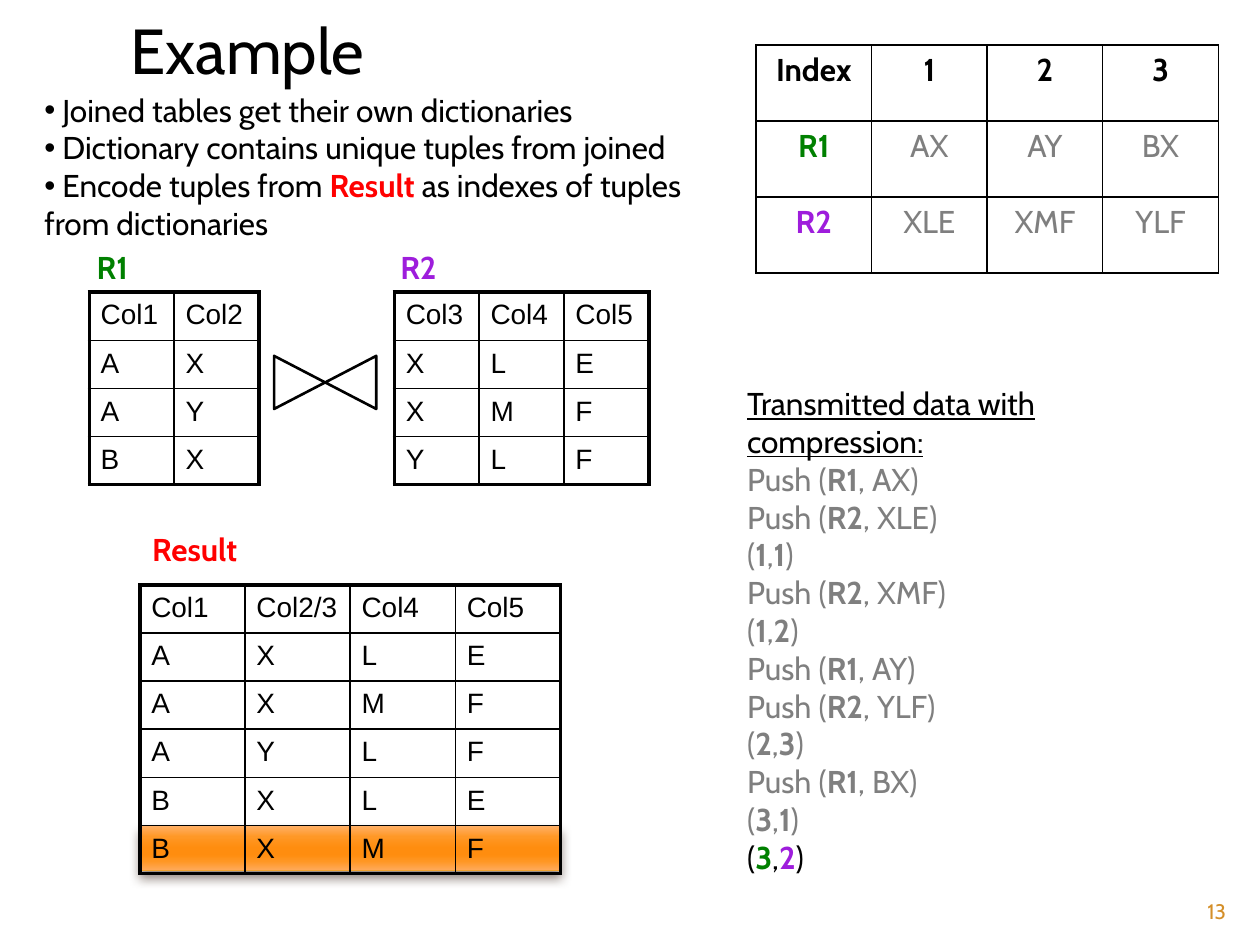
from lxml import etree
from pptx import Presentation, util as u
from pptx.dml.color import RGBColor
from pptx.enum import shapes, text
from pptx.oxml import parse_xml
from pptx.oxml.ns import qn

BLACK, GREY, RED, GREEN, PURPLE = "000000", "7F7F7F", "FF0000", "008000", "9E1DDC"
NAMESPACE = 'xmlns:a="http://schemas.openxmlformats.org/drawingml/2006/main"'

BULLETS = [
    (" Joined tables get their own dictionaries", BLACK, []),
    (" Dictionary contains unique tuples from joined", BLACK, []),
    (" Encode tuples from |Result |as indexes of tuples from dictionaries", BLACK, [RED]),
]
MESSAGES = [
    ("Push (|R1|, AX)", GREY, [GREY]),
    ("Push (|R2|, XLE)", GREY, [GREY]),
    ("(|1|,|1|)", GREY, [GREY, GREY]),
    ("Push (|R2|, XMF)", GREY, [GREY]),
    ("(|1|,|2|)", GREY, [GREY, GREY]),
    ("Push (|R1|, AY)", GREY, [GREY]),
    ("Push (|R2|, YLF)", GREY, [GREY]),
    ("(|2|,|3|)", GREY, [GREY, GREY]),
    ("Push (|R1|, BX)", GREY, [GREY]),
    ("(|3|,|1|)", GREY, [GREY, GREY]),
    ("(|3|,|2|)", BLACK, [GREEN, PURPLE]),
]
LABELS = [
    ("R1", GREEN, (1.7, 4.88, 3.61, 1.02)),
    ("R2", PURPLE, (7.82, 4.88, 5.28, 1.02)),
    ("Result", RED, (2.82, 10.57, 3.84, 1.04)),
]
ROW_HEIGHT = 0.97
RESULT_LEFT, RESULT_TOP, RESULT_COLUMN = 2.82, 11.79, 2.12
RELATIONS = [
    (7.95, 5.89, 1.71, ["Col3 Col4 Col5", "X L E", "X M F", "Y L F"]),
    (1.8, 5.89, 1.71, ["Col1 Col2", "A X", "A Y", "B X"]),
    (RESULT_LEFT, RESULT_TOP, RESULT_COLUMN,
     ["Col1 Col2/3 Col4 Col5", "A X L E", "A X M F", "A Y L F", "B X L E", "B X M F"]),
]
DICTIONARIES = ["Index 1 2 3", "R1 AX AY BX", "R2 XLE XMF YLF"]
NAME_COLOURS = {"R1": GREEN, "R2": PURPLE}
GRADIENT = [(0, "FFB16A"), (25, "FF9826"), (50, "FF8D0F"),
            (65, "FF8D0F"), (80, "FF9724"), (100, "FFAA5C")]


def colour(target, value):
    target.rgb = RGBColor.from_string(value)


def style(font, value, size=18, name="Cabin", bold=False):
    font.size, font.name, font.bold = u.Pt(size), name, bold
    colour(font.color, value)


def place(shape, box):
    shape.left, shape.top, shape.width, shape.height = map(u.Cm, box)


def add_text(slide, box):
    frame = slide.shapes.add_textbox(*map(u.Cm, box)).text_frame
    frame.word_wrap = True
    return frame


def write_line(paragraph, content, base, accents):
    """Write a line whose parts between bars are bold and take the accents in turn."""
    style(paragraph.font, base)
    for index, part in enumerate(content.split("|")):
        run = paragraph.add_run()
        run.text = part
        if index % 2:
            run.font.bold = True
            colour(run.font.color, accents[index // 2])


def set_borders(cell, widths):
    properties = cell._tc.get_or_add_tcPr()
    for position, (side, width) in enumerate(zip(("lnL", "lnR", "lnT", "lnB"), widths)):
        properties.insert(position, parse_xml(
            f'<a:{side} {NAMESPACE} w="{u.Pt(width)}"><a:solidFill>'
            f'<a:srgbClr val="{BLACK}"/></a:solidFill></a:{side}>'))


def add_grid(slide, left, top, column_width, row_height, lines, outer, format_cell):
    rows = [line.split() for line in lines]
    last_row, last_column = len(rows) - 1, len(rows[0]) - 1
    table = slide.shapes.add_table(
        len(rows), len(rows[0]), u.Cm(left), u.Cm(top),
        u.Cm(column_width * len(rows[0])), u.Cm(row_height * len(rows))).table
    table.first_row = table.horz_banding = False
    for column in table.columns:
        column.width = u.Cm(column_width)
    for r, row in enumerate(rows):
        table.rows[r].height = u.Cm(row_height)
        for c, value in enumerate(row):
            cell = table.cell(r, c)
            cell.text = value
            cell.fill.background()
            edges = (c == 0, c == last_column, r == 0, r == last_row)
            set_borders(cell, [outer if edge else 1 for edge in edges])
            format_cell(cell, r, c)


def format_relation_cell(cell, row, column):
    cell.margin_left = cell.margin_right = u.Cm(0.23)
    paragraph = cell.text_frame.paragraphs[0]
    paragraph.line_spacing = 1.04
    style(paragraph.font, BLACK, 16, "Arial")


def format_dictionary_cell(cell, row, column):
    paragraph = cell.text_frame.paragraphs[0]
    paragraph.alignment = text.PP_ALIGN.CENTER
    heading = row == 0 or column == 0
    value = NAME_COLOURS.get(cell.text, BLACK) if heading else GREY
    style(paragraph.font, value, bold=heading)


def add_highlight(slide):
    """Add the glowing band behind the last row of the result."""
    row = len(RELATIONS[-1][3]) - 1
    shape = slide.shapes.add_shape(
        shapes.MSO_SHAPE.RECTANGLE, u.Cm(RESULT_LEFT), u.Cm(RESULT_TOP + row * ROW_HEIGHT),
        u.Cm(4 * RESULT_COLUMN), u.Cm(0.91))
    colour(shape.line.color, "F0A22E")
    shape.line.width = u.Pt(0.79)
    stops = "".join(f'<a:gs pos="{position * 1000}"><a:srgbClr val="{value}"/></a:gs>'
                    for position, value in GRADIENT)
    properties = shape._element.spPr
    properties.find(qn("a:prstGeom")).addnext(parse_xml(
        f'<a:gradFill {NAMESPACE}><a:gsLst>{stops}</a:gsLst>'
        '<a:lin ang="5400000" scaled="0"/></a:gradFill>'))
    properties.append(parse_xml(
        f'<a:effectLst {NAMESPACE}><a:outerShdw blurRad="{u.Pt(6)}" dist="{u.Pt(4)}" '
        'dir="5400000" rotWithShape="0"><a:srgbClr val="4E3B30"><a:alpha val="60000"/>'
        '</a:srgbClr></a:outerShdw></a:effectLst>'))


def add_join_symbol(slide):
    shape = slide.shapes.add_shape(
        shapes.MSO_SHAPE.FLOWCHART_COLLATE, *map(u.Cm, (6.02, 6.68, 1.07, 2.06)))
    shape.rotation = 90
    shape.shadow.inherit = False
    shape.fill.solid()
    colour(shape.fill.fore_color, "FFFFFF")
    colour(shape.line.color, BLACK)
    shape.line.width = u.Pt(1.5)


def fill_placeholders(slide):
    title, body = slide.shapes.title, slide.placeholders[1]
    place(title, (0.43, 0.2, 22.86, 1.57))
    place(body, (0.64, 1.7, 13.54, 3.33))
    for shape in (title, body):
        shape.text_frame.auto_size = text.MSO_AUTO_SIZE.NONE
    title.text_frame.margin_left = u.Cm(2.2)
    title.text_frame.vertical_anchor = text.MSO_ANCHOR.MIDDLE
    paragraph = title.text_frame.paragraphs[0]
    paragraph.text = "Example"
    paragraph.alignment = text.PP_ALIGN.LEFT
    style(paragraph.font, BLACK, 36.3)
    frame = body.text_frame
    for index, line in enumerate(BULLETS):
        paragraph = frame.add_paragraph() if index else frame.paragraphs[0]
        paragraph.space_before = u.Pt(0)
        properties = paragraph._p.get_or_add_pPr()
        properties.set("marL", "0")
        properties.set("indent", "0")
        etree.SubElement(properties, qn("a:buChar"), char="•")
        write_line(paragraph, *line)


def main():
    presentation = Presentation()
    presentation.slide_width, presentation.slide_height = u.Cm(25.4), u.Cm(19.05)
    slide = presentation.slides.add_slide(presentation.slide_layouts[1])
    fill_placeholders(slide)
    add_highlight(slide)
    for left, top, column_width, lines in RELATIONS:
        add_grid(slide, left, top, column_width, ROW_HEIGHT, lines, 2.25, format_relation_cell)
    add_grid(slide, 15.24, 0.91, 2.33, 1.53, DICTIONARIES, 1, format_dictionary_cell)
    add_join_symbol(slide)
    for content, value, box in LABELS:
        paragraph = add_text(slide, box).paragraphs[0]
        paragraph.text = content
        style(paragraph.font, value, bold=True)
    frame = add_text(slide, (14.81, 7.62, 9.88, 10.26))
    heading = frame.paragraphs[0]
    heading.text = "Transmitted data with compression:"
    style(heading.font, BLACK)
    heading.font.underline = True
    for line in MESSAGES:
        write_line(frame.add_paragraph(), *line)
    number = add_text(slide, (22.86, 17.98, 2.11, 0.69)).paragraphs[0]
    number.text = "13"
    number.alignment = text.PP_ALIGN.RIGHT
    style(number.font, "D48F29", 12)
    presentation.save("out.pptx")


if __name__ == "__main__":
    main()
